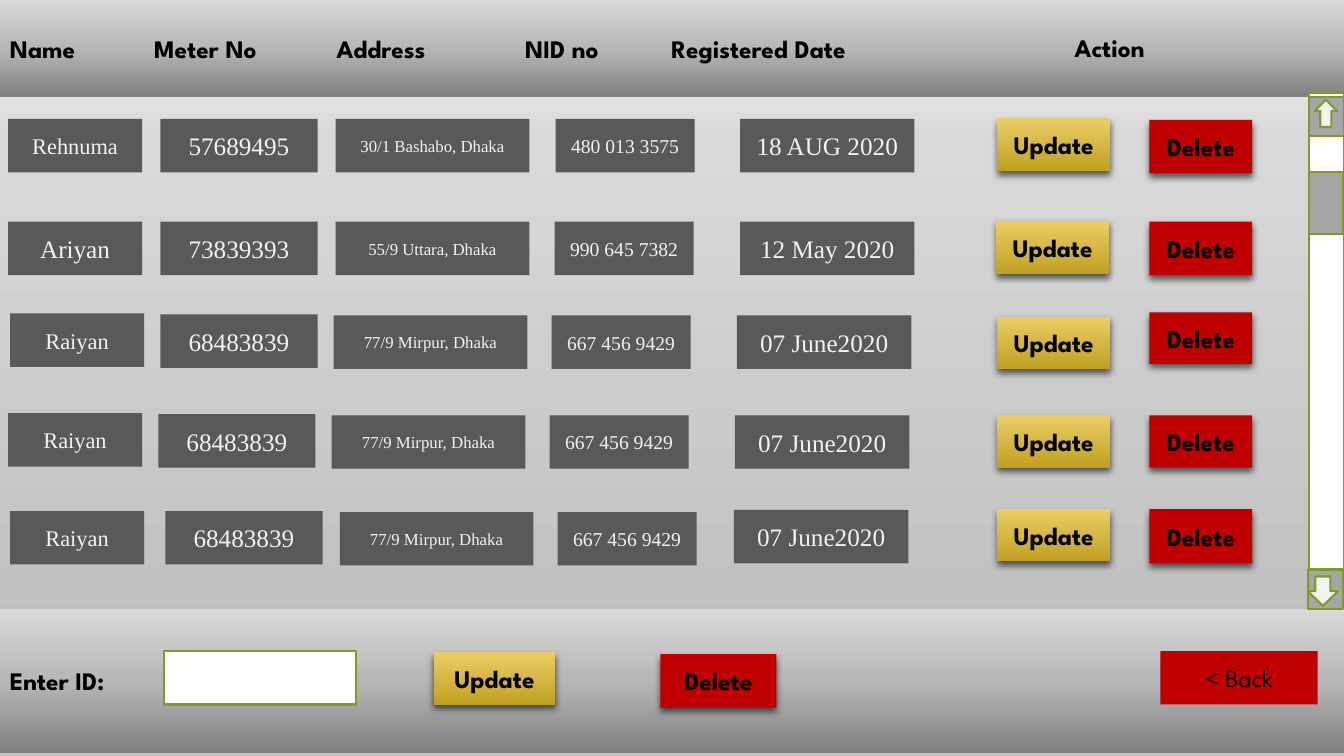
from copy import deepcopy
from dataclasses import dataclass

from lxml.etree import SubElement
from pptx import Presentation
from pptx.dml.color import RGBColor
from pptx.enum.shapes import MSO_SHAPE as Preset
from pptx.enum.text import MSO_ANCHOR as Anchor, PP_ALIGN as Align
from pptx.oxml.ns import qn
from pptx.util import Inches, Pt


@dataclass(frozen=True)
class Theme:
    label_font: str = "League Spartan"
    data_font: str = "Times New Roman"
    ink: str = "000000"
    light: str = "F2F2F2"
    white: str = "FFFFFF"
    cell: str = "595959"
    red: str = "C00000"
    green: str = "7F9D26"
    scroll: str = "A6A6A6"
    gold: tuple = ((0, "EBCE66"), (1, "C1A021"))
    bar: tuple = ((0, "808080"), (0.5, "B7B7B7"), (1, "D9D9D9"))
    backdrop: tuple = ((0, "FBFDF5"), (0.18, "D9D9D9"), (0.85, "BFBFBF"))
    label_size: int = 18
    border: float = 1.5


THEME = Theme()
UPWARD, DOWNWARD = 90, 270  # gradient directions, counter-clockwise

HEADINGS = ("Name", "Meter No", "Address", "NID no", "Registered Date")
HEADING_TABS = (1.43, 3.24, 5.11, 6.56)

# Column widths and type sizes: name, meter, address, NID, date
WIDTHS = (1.33, 1.56, 1.92, 1.38, 1.73)
SIZES = (16, 18, 12, 14, 18)
CELL_HEIGHT = 0.53
UPDATE_WIDTH, DELETE_LEFT, DELETE_WIDTH = 1.12, 11.4, 1.02

RAIYAN = ("Raiyan", "68483839", "77/9 Mirpur, Dhaka", "667 456 9429", "07 June2020")
# Values, cell lefts, cell tops, Update (left, top, height), Delete (top, height)
RECORDS = (
    (("Rehnuma", "57689495", "30/1 Bashabo, Dhaka", "480 013 3575", "18 AUG 2020"),
     (0.08, 1.59, 3.33, 5.51, 7.34), (1.18,) * 5, (9.89, 1.17, 0.53), (1.19, 0.53)),
    (("Ariyan", "73839393", "55/9 Uttara, Dhaka", "990 645 7382", "12 May 2020"),
     (0.08, 1.59, 3.33, 5.5, 7.34), (2.2,) * 5, (9.88, 2.19, 0.53), (2.2, 0.53)),
    (RAIYAN, (0.1, 1.59, 3.31, 5.47, 7.31), (3.11, 3.12, 3.13, 3.13, 3.13),
     (9.89, 3.14, 0.52), (3.1, 0.51)),
    (RAIYAN, (0.08, 1.57, 3.29, 5.45, 7.29), (4.1, 4.11, 4.12, 4.12, 4.12),
     (9.89, 4.12, 0.52), (4.12, 0.52)),
    (RAIYAN, (0.1, 1.64, 3.37, 5.53, 7.28), (5.07, 5.07, 5.08, 5.08, 5.06),
     (9.89, 5.05, 0.52), (5.05, 0.54)),
)


def paint_gradient(fill, owner, stops, angle):
    fill.gradient()
    fill.gradient_angle = angle
    stop_list = next(owner.iter(qn("a:gsLst")))
    while len(stop_list) < len(stops):
        stop_list.append(deepcopy(stop_list[-1]))
    for stop, (position, color) in zip(fill.gradient_stops, stops):
        stop.position = position
        stop.color.rgb = RGBColor.from_string(color)


def write(shape, text, font, size, color, bold=False, align=Align.CENTER):
    shape.text_frame.vertical_anchor = Anchor.MIDDLE
    paragraph = shape.text_frame.paragraphs[0]
    paragraph.text = text
    paragraph.alignment = align
    paragraph.font.name = font
    paragraph.font.size = Pt(size)
    paragraph.font.bold = bold
    paragraph.font.color.rgb = RGBColor.from_string(color)
    return paragraph


def write_label(shape, text, bold=True, align=Align.CENTER):
    return write(shape, text, THEME.label_font, THEME.label_size, THEME.ink, bold, align)


def add_box(slide, left, top, width, height, color=None, border=None,
            preset=Preset.RECTANGLE):
    box = slide.shapes.add_shape(
        preset, Inches(left), Inches(top), Inches(width), Inches(height))
    box.shadow.inherit = False
    if color:
        box.fill.solid()
        box.fill.fore_color.rgb = RGBColor.from_string(color)
    if border:
        box.line.color.rgb = RGBColor.from_string(border)
        box.line.width = Pt(THEME.border)
    else:
        box.line.fill.background()
    return box


def add_bar(slide, top, height, text):
    bar = add_box(slide, 0, top, 13.33, height)
    paint_gradient(bar.fill, bar.element, THEME.bar, UPWARD)
    return write_label(bar, text, align=Align.LEFT)


def set_tabs(paragraph, positions):
    properties = next(paragraph.font and paragraph.runs[0].font and
                      paragraph._p.iter(qn("a:pPr")))
    tabs = properties.makeelement(qn("a:tabLst"))
    for position in positions:
        SubElement(tabs, qn("a:tab"), pos=str(Inches(position)), algn="l")
    properties.find(qn("a:defRPr")).addprevious(tabs)


def add_button(slide, text, left, top, width, height):
    button = add_box(slide, left, top, width, height, THEME.red)
    if text == "Update":
        paint_gradient(button.fill, button.element, THEME.gold, DOWNWARD)
    effects = next(button.element.iter(qn("a:effectLst")))
    shadow = SubElement(effects, qn("a:outerShdw"), blurRad=str(Pt(5)),
                        dist=str(Pt(3)), dir="5400000", algn="ctr", rotWithShape="0")
    shade = SubElement(shadow, qn("a:srgbClr"), val=THEME.ink)
    SubElement(shade, qn("a:alpha"), val="60000")
    write_label(button, text)


def add_record(slide, values, lefts, tops, update, delete):
    for value, left, top, width, size in zip(values, lefts, tops, WIDTHS, SIZES):
        cell = add_box(slide, left, top, width, CELL_HEIGHT, THEME.cell)
        if value == "Ariyan":
            size = 18
        write(cell, value, THEME.data_font, size, THEME.light)
    update_left, update_top, update_height = update
    add_button(slide, "Update", update_left, update_top, UPDATE_WIDTH, update_height)
    delete_top, delete_height = delete
    add_button(slide, "Delete", DELETE_LEFT, delete_top, DELETE_WIDTH, delete_height)


def add_back_button(slide):
    back = add_box(slide, 11.51, 6.46, 1.56, 0.53, THEME.red)
    write_label(back, "< Back", bold=False)
    properties = next(back.element.iter(qn("a:defRPr")))
    outline = properties.makeelement(qn("a:ln"), w=str(Pt(0.75)))
    paint = SubElement(outline, qn("a:solidFill"))
    SubElement(paint, qn("a:srgbClr"), val=THEME.ink)
    properties.insert(0, outline)


def add_action_heading(slide):
    action = slide.shapes.add_textbox(
        Inches(10.56), Inches(0.27), Inches(1.01), Inches(0.4))
    action.text_frame.word_wrap = False
    write_label(action, "Action", align=Align.LEFT)


def add_scrollbar(slide):
    add_box(slide, 12.98, 0.92, 0.35, 5.08, THEME.white, THEME.green)
    for left, top, width, height in (
            (12.98, 0.96, 0.35, 0.39), (12.97, 5.65, 0.35, 0.39),
            (12.98, 1.71, 0.34, 0.61)):
        add_box(slide, left, top, width, height, THEME.scroll, THEME.green)
    add_box(slide, 13.04, 0.99, 0.22, 0.27, THEME.light, THEME.green, Preset.UP_ARROW)
    down = add_box(slide, 12.97, 5.72, 0.3, 0.29, THEME.light, THEME.green,
                   Preset.UP_ARROW)
    down.rotation = 180


def main():
    deck = Presentation()
    deck.slide_width, deck.slide_height = Inches(13.33), Inches(7.5)
    slide = deck.slides.add_slide(deck.slide_layouts[6])
    paint_gradient(slide.background.fill, slide.element, THEME.backdrop, DOWNWARD)

    # Footer and header bars
    add_bar(slide, 6.04, 1.43, "Enter ID:")
    set_tabs(add_bar(slide, 0, 0.96, "\t".join(HEADINGS)), HEADING_TABS)
    add_action_heading(slide)

    # Customer records
    for record in RECORDS:
        add_record(slide, *record)
    add_scrollbar(slide)

    # Footer controls
    add_box(slide, 1.63, 6.46, 1.9, 0.53, THEME.white, THEME.green)
    add_button(slide, "Update", 4.3, 6.47, 1.21, 0.52)
    add_button(slide, "Delete", 6.55, 6.49, 1.15, 0.53)
    add_back_button(slide)

    deck.save("out.pptx")


if __name__ == "__main__":
    main()
